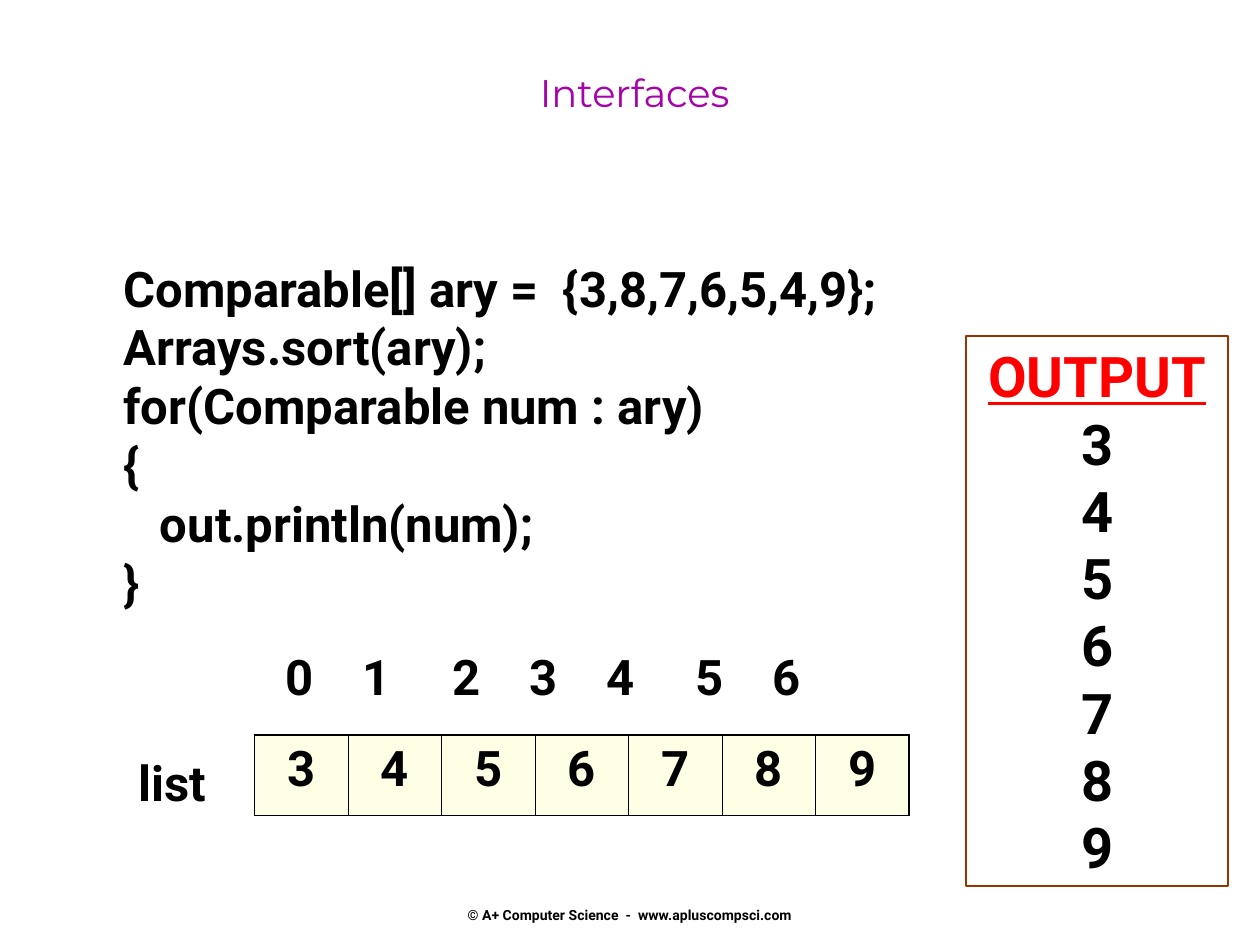
"""Build the Interfaces slide: sorting an array of Comparable values."""
import pptx
import pptx.dml.color
import pptx.enum.shapes
import pptx.enum.text
import pptx.oxml
import pptx.oxml.ns
import pptx.util
from pptx.util import Cm

COLORS = {
    "title": "A603AB",
    "text": "000000",
    "heading": "FF0000",
    "output_border": "993300",
    "cell": "FFFFCC",
}
LEFT = pptx.enum.text.PP_ALIGN.LEFT
CENTER = pptx.enum.text.PP_ALIGN.CENTER
BODY = {"name": "Roboto", "bold": True, "size": pptx.util.Pt(28)}
OUTPUT = {**BODY, "size": pptx.util.Pt(32)}
FOOTER = {**BODY, "size": pptx.util.Pt(8)}
TITLE = {"name": "Montserrat", "bold": False, "size": pptx.util.Pt(22)}


def rgb(name):
    return pptx.dml.color.RGBColor.from_string(COLORS[name])


def write_lines(text_frame, lines, font_format, alignment=LEFT, color="text"):
    text_frame.text = "\n".join(lines)
    text_frame.word_wrap = True
    for paragraph in text_frame.paragraphs:
        paragraph.alignment = alignment
        for run in paragraph.runs:
            run.font.color.rgb = rgb(color)
            for attribute, value in font_format.items():
                setattr(run.font, attribute, value)


presentation = pptx.Presentation()
presentation.slide_width = Cm(25.4)
presentation.slide_height = Cm(19.05)
slide = presentation.slides.add_slide(presentation.slide_layouts[6])

code = [
    "Comparable[] ary =  {3,8,7,6,5,4,9};",
    "Arrays.sort(ary);",
    "for(Comparable num : ary)",
    "{",
    "   out.println(num);",
    "}",
]
sorted_values = ["3", "4", "5", "6", "7", "8", "9"]
indexes = "\t".join(str(index) for index in range(len(sorted_values)))
copyright_line = "© A+ Computer Science  -  www.apluscompsci.com"

text_boxes = [
    (4.01, 1.27, 17.57, 2.34, ["Interfaces"], TITLE, CENTER, "title"),
    (2.24, 5.08, 17.02, 8.1, code, BODY, LEFT, "text"),
    (2.54, 15.04, 2.4, 1.45, ["list"], BODY, LEFT, "text"),
    (5.51, 12.9, 12.7, 1.45, [indexes], BODY, LEFT, "text"),
    (8.2, 18.15, 9, 0.7, [copyright_line], FOOTER, CENTER, "text"),
]
for left, top, width, height, lines, font_format, alignment, color in text_boxes:
    text_box = slide.shapes.add_textbox(Cm(left), Cm(top), Cm(width), Cm(height))
    write_lines(text_box.text_frame, lines, font_format, alignment, color)
    if lines == [indexes]:
        properties = text_box.text_frame.paragraphs[0]._p.get_or_add_pPr()
        tab_list = pptx.oxml.parse_xml(f"<a:tabLst {pptx.oxml.ns.nsdecls('a')}/>")
        properties.append(tab_list)
        position = 0
        for step in (1.55, 1.81, 1.55, 1.55, 1.81, 1.55):
            position += Cm(step)
            tab = tab_list.makeelement(pptx.oxml.ns.qn("a:tab"), {"pos": str(position), "algn": "l"})
            tab_list.append(tab)

output_box = slide.shapes.add_shape(
    pptx.enum.shapes.MSO_SHAPE.RECTANGLE, Cm(19.48), Cm(6.77), Cm(5.28), Cm(11.1)
)
output_box.shadow.inherit = False
output_box.fill.background()
output_box.line.color.rgb = rgb("output_border")
output_box.line.width = pptx.util.Pt(1)
output_box.text_frame.vertical_anchor = pptx.enum.text.MSO_ANCHOR.TOP
write_lines(output_box.text_frame, ["OUTPUT", *sorted_values], OUTPUT, CENTER)
heading_font = output_box.text_frame.paragraphs[0].runs[0].font
heading_font.color.rgb = rgb("heading")
heading_font.underline = True

column_count = len(sorted_values)
table = slide.shapes.add_table(1, column_count, Cm(5.13), Cm(14.81), Cm(13.2), Cm(1.63)).table
table.first_row = False
table.horz_banding = False
for column, value in enumerate(sorted_values):
    cell = table.cell(0, column)
    write_lines(cell.text_frame, [value], BODY, CENTER)
    cell.fill.solid()
    cell.fill.fore_color.rgb = rgb("cell")
    properties = cell._tc.get_or_add_tcPr()
    fill_color = properties.find(".//" + pptx.oxml.ns.qn("a:srgbClr"))
    fill_color.append(
        fill_color.makeelement(pptx.oxml.ns.qn("a:alpha"), {"val": "50000"})
    )
    border_widths = {
        "lnL": 1.08 if column == 0 else 0.45,
        "lnR": 1.08 if column == column_count - 1 else 0.45,
        "lnT": 1.08,
        "lnB": 1.08,
    }
    for order, (side, width) in enumerate(border_widths.items()):
        border = pptx.oxml.parse_xml(
            f'<a:{side} {pptx.oxml.ns.nsdecls("a")} w="{pptx.util.Pt(width)}">'
            f'<a:solidFill><a:srgbClr val="{COLORS["text"]}"/></a:solidFill></a:{side}>'
        )
        properties.insert(order, border)

presentation.save("out.pptx")
